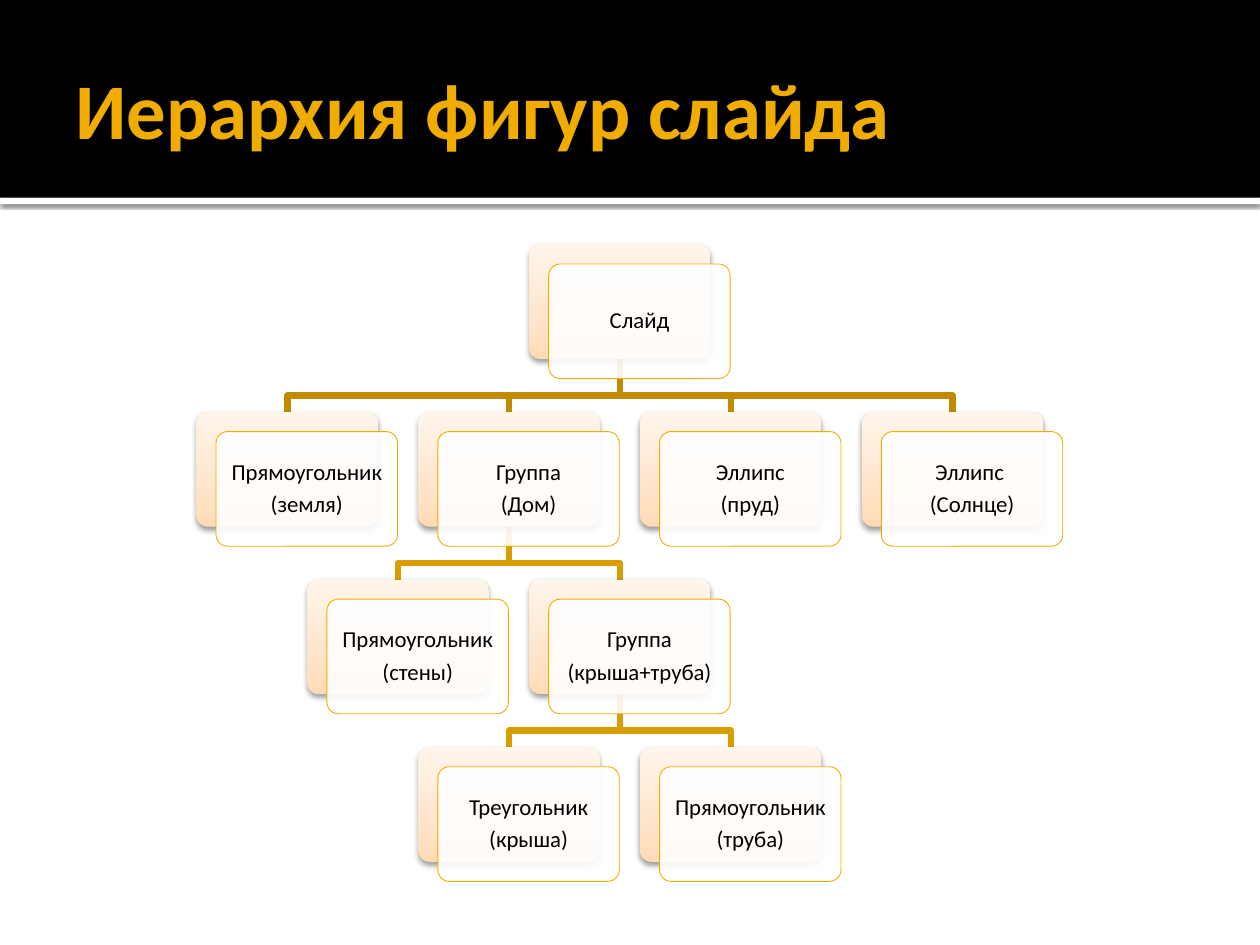
from copy import deepcopy

from lxml.etree import SubElement
from pptx import Presentation
from pptx.dml.color import RGBColor
from pptx.enum.shapes import MSO_SHAPE
from pptx.enum.text import MSO_ANCHOR, PP_ALIGN
from pptx.oxml.ns import qn
from pptx.util import Inches, Pt

LEFT_CENTER, COLUMN_STEP = 4.92, 0.88
TOP, LEVEL_STEP = 1.94, 1.33
WIDTH, HEIGHT = 1.44, 0.91
CARD_SHIFT = 0.155

NODES = {
    "slide": (None, 0, 0, "Слайд"),
    "ground": ("slide", -3, 1, "Прямоугольник\n(земля)"),
    "house": ("slide", -1, 1, "Группа\n(Дом)"),
    "walls": ("house", -2, 2, "Прямоугольник\n(стены)"),
    "top": ("house", 0, 2, "Группа\n(крыша+труба)"),
    "roof": ("top", -1, 3, "Треугольник\n(крыша)"),
    "chimney": ("top", 1, 3, "Прямоугольник\n(труба)"),
    "pond": ("slide", 1, 1, "Эллипс\n(пруд)"),
    "sun": ("slide", 3, 1, "Эллипс \n(Солнце)"),
}


def color(value):
    return RGBColor.from_string(value)


class HierarchySlide:
    """Holds the style and the current slide, and draws each kind of element."""

    font = "Calibri"
    accent = "F0AD00"
    gradient = [(0, "FFDBB5"), (0.35, "FFE5CB"), (1, "FFF5EB")]

    def __init__(self, deck):
        self.slide = deck.slides.add_slide(deck.slide_layouts[5])
        self.shapes = self.slide.shapes

    def format_text(self, frame, size, text_color, align, bold=False):
        frame.word_wrap = True
        frame.vertical_anchor = MSO_ANCHOR.MIDDLE
        for para in frame.paragraphs:
            para.alignment = align
            for span in para.runs:
                span.font.name = self.font
                span.font.size = Pt(size)
                span.font.bold = bold
                span.font.color.rgb = color(text_color)

    def box(self, kind, left, top, width, height, fill=None):
        box = self.shapes.add_shape(
            kind, Inches(left), Inches(top), Inches(width), Inches(height))
        box.shadow.inherit = False
        box.line.fill.background()
        if fill:
            box.fill.solid()
            box.fill.fore_color.rgb = color(fill)
        return box

    def shadow(self, box, opacity, blur, distance):
        effects = box._element.spPr.find(qn("a:effectLst"))
        outer = SubElement(effects, qn("a:outerShdw"), blurRad=str(Pt(blur)),
                           dist=str(Pt(distance)), dir="5400000", rotWithShape="0")
        shade = SubElement(outer, qn("a:srgbClr"), val="000000")
        SubElement(shade, qn("a:alpha"), val=str(opacity * 1000))

    def header(self, text):
        rule = self.box(MSO_SHAPE.RECTANGLE, 0, 1.57, 10, 0.05, "FFFFFF")
        self.shadow(rule, 60, 2.5, 0.8)
        self.box(MSO_SHAPE.RECTANGLE, 0, 0, 10, 1.57, "000000")
        title = self.shapes.title
        self.shapes._spTree.append(title._element)
        title.left, title.top = Inches(0.5), Inches(0.17)
        title.width, title.height = Inches(9), Inches(1.37)
        frame = title.text_frame
        frame.text = text
        frame.margin_left = Inches(0.1)
        frame.margin_right = frame.margin_top = frame.margin_bottom = Inches(0.05)
        self.format_text(frame, 45, self.accent, PP_ALIGN.LEFT, bold=True)

    def branch(self, parent, child):
        start_x, end_x = (LEFT_CENTER + node[1] * COLUMN_STEP for node in (parent, child))
        start_y = TOP + parent[2] * LEVEL_STEP + HEIGHT
        end_y = TOP + child[2] * LEVEL_STEP
        bend_y = end_y - 0.13
        points = [(start_x, bend_y), (end_x, bend_y), (end_x, end_y)]
        builder = self.shapes.build_freeform(Inches(start_x), Inches(start_y))
        builder.add_line_segments(
            [(Inches(x), Inches(y)) for x, y in points], close=False)
        line = builder.convert_to_shape()
        line.shadow.inherit = False
        line.fill.background()
        line.line.width = Pt(3.78)
        line.line.color.rgb = color("DA9D00" if parent[2] else "C08B00")

    def rounded(self, left, top):
        box = self.box(MSO_SHAPE.ROUNDED_RECTANGLE, left, top, WIDTH, HEIGHT)
        box.adjustments[0] = 0.1
        return box

    def backing(self, left, top):
        box = self.rounded(left, top)
        box.fill.gradient()
        box.fill.gradient_angle = 90
        stops = box._element.spPr.find(".//" + qn("a:gsLst"))
        stops.append(deepcopy(stops[0]))
        for stop, (position, value) in zip(box.fill.gradient_stops, self.gradient):
            stop.position = position
            stop.color.rgb = color(value)
        self.shadow(box, 38, 3.5, 2)

    def card(self, left, top, text):
        box = self.rounded(left, top)
        box.fill.solid()
        box.fill.fore_color.rgb = color("FFFFFF")
        shade = box._element.spPr.find(qn("a:solidFill"))[0]
        SubElement(shade, qn("a:alpha"), val="90000")
        box.line.color.rgb = color(self.accent)
        box.line.width = Pt(0.5)
        frame = box.text_frame
        frame.text = text
        frame.margin_left = frame.margin_right = Inches(0.08)
        frame.margin_top = frame.margin_bottom = Inches(0.08)
        self.format_text(frame, 13, "000000", PP_ALIGN.CENTER)
        for para in frame.paragraphs:
            para.line_spacing = 0.9
            para.space_after = Pt(4.5)

    def node(self, column, level, text):
        left = LEFT_CENTER + column * COLUMN_STEP - WIDTH / 2
        top = TOP + level * LEVEL_STEP
        self.backing(left, top)
        self.card(left + CARD_SHIFT, top + CARD_SHIFT, text)


def main():
    deck = Presentation()
    deck.slide_width, deck.slide_height = Inches(10), Inches(7.5)
    page = HierarchySlide(deck)
    page.header("Иерархия фигур слайда")
    for node in NODES.values():
        if node[0]:
            page.branch(NODES[node[0]], node)
    for parent, column, level, text in NODES.values():
        page.node(column, level, text)
    deck.save("out.pptx")


if __name__ == "__main__":
    main()
